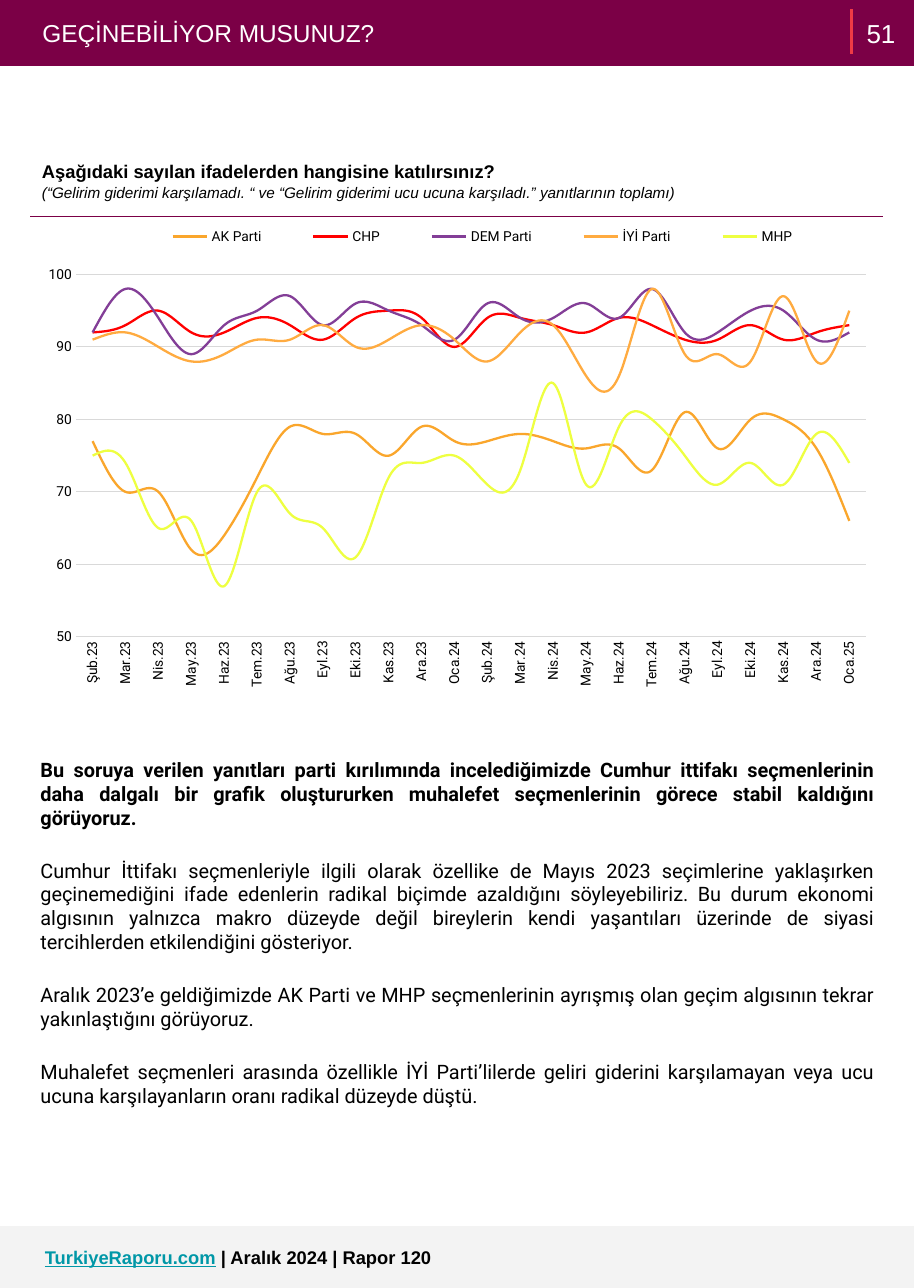
from lxml import etree
from pptx import Presentation, util
from pptx.chart.data import CategoryChartData
from pptx.dml.color import RGBColor
from pptx.enum import chart as chart_enum, shapes, text
from pptx.oxml import parse_xml
from pptx.oxml.ns import nsdecls, qn

Pt = util.Pt
COLORS = {
    "maroon": "7B0046", "red": "EF3B45", "footer": "F3F3F3", "link": "0097A7",
    "black": "000000", "white": "FFFFFF", "grid": "D9D9D9",
}


def style(font, size, color="black", name="Arial", bold=False):
    font.size, font.name, font.bold = Pt(size), name, bold
    font.color.rgb = RGBColor.from_string(COLORS[color])


def add_text(left, top, width, height):
    frame = slide.shapes.add_textbox(Pt(left), Pt(top), Pt(width), Pt(height)).text_frame
    frame.word_wrap = True
    frame.margin_left = frame.margin_right = Pt(7.2)
    frame.margin_top = frame.margin_bottom = Pt(7.2)
    return frame


presentation = Presentation()
presentation.slide_width, presentation.slide_height = Pt(597.6), Pt(842.4)
slide = presentation.slides.add_slide(presentation.slide_layouts[6])

# Header and footer bands
for top, height, color in [(0, 43.2, "maroon"), (802, 40.4, "footer")]:
    band = slide.shapes.add_shape(
        shapes.MSO_SHAPE.RECTANGLE, Pt(0), Pt(top), Pt(597.6), Pt(height))
    band.shadow.inherit = False
    band.fill.solid()
    band.fill.fore_color.rgb = RGBColor.from_string(COLORS[color])
    band.line.fill.background()

# Header title, divider and page number
paragraph = add_text(20.6, 4.3, 530, 34).paragraphs[0]
paragraph.text = "GEÇİNEBİLİYOR MUSUNUZ?"
style(paragraph.font, 16, "white")

divider = slide.shapes.add_connector(
    shapes.MSO_CONNECTOR.STRAIGHT, Pt(556.6), Pt(5.8), Pt(556.6), Pt(35.3))
divider.line.color.rgb = RGBColor.from_string(COLORS["red"])
divider.line.width = Pt(2.25)
etree.SubElement(divider._element.spPr, qn("a:effectLst"))

frame = add_text(556.6, -10.8, 38.9, 64.8)
frame.vertical_anchor = text.MSO_ANCHOR.MIDDLE
paragraph = frame.paragraphs[0]
paragraph.text = "51"
paragraph.alignment = text.PP_ALIGN.CENTER
style(paragraph.font, 17, "white")

# Footer line
paragraph = add_text(22.3, 807.8, 501, 29).paragraphs[0]
site = paragraph.add_run()
site.text = "TurkiyeRaporu.com"
style(site.font, 12, "link", bold=True)
site.font.underline = True
issue = paragraph.add_run()
issue.text = " | Aralık 2024 | Rapor 120"
style(issue.font, 12, bold=True)

# Question table
table = slide.shapes.add_table(1, 1, Pt(20.2), Pt(96.5), Pt(556.6), Pt(44.5)).table
table.first_row = table.horz_banding = False
cell = table.cell(0, 0)
cell.fill.background()
cell.margin_left = cell.margin_right = cell.margin_top = cell.margin_bottom = Pt(7.2)
cell.text = ("Aşağıdaki sayılan ifadelerden hangisine katılırsınız?\n"
             "(“Gelirim giderimi karşılamadı. “ ve “Gelirim giderimi ucu ucuna "
             "karşıladı.” yanıtlarının toplamı)")
question, note = cell.text_frame.paragraphs
question.line_spacing = note.line_spacing = 1.15
style(question.font, 12, bold=True)
style(note.font, 10)
note.font.italic = True
borders = [("L", "white"), ("R", "white"), ("T", "white"), ("B", "maroon")]
for index, (side, color) in enumerate(borders):
    cell._tc.tcPr.insert(index, parse_xml(
        f'<a:ln{side} {nsdecls("a")} w="{Pt(0.75)}"><a:solidFill>'
        f'<a:srgbClr val="{COLORS[color]}"/></a:solidFill></a:ln{side}>'))

# Line chart
months = ["Oca", "Şub", "Mar", "Nis", "May", "Haz",
          "Tem", "Ağu", "Eyl", "Eki", "Kas", "Ara"]
parties = [
    ("AK Parti", "FAA62C", [77, 70, 70, 62, 64, 72, 79, 78, 78, 75, 79, 77,
                            77, 78, 77, 76, 76, 73, 81, 76, 80, 80, 76, 66]),
    ("CHP", "FF0000", [92, 93, 95, 92, 92, 94, 93, 91, 94, 95, 94, 90,
                       94, 94, 93, 92, 94, 93, 91, 91, 93, 91, 92, 93]),
    ("DEM Parti", "833E97", [92, 98, 94, 89, 93, 95, 97, 93, 96, 95, 93, 91,
                             96, 94, 94, 96, 94, 98, 92, 92, 95, 95, 91, 92]),
    ("İYİ Parti", "FFAB40", [91, 92, 90, 88, 89, 91, 91, 93, 90, 91, 93, 91,
                             88, 92, 93, 86, 86, 98, 89, 89, 88, 97, 88, 95]),
    ("MHP", "EEFF41", [75, 74, 65, 66, 57, 70, 67, 65, 61, 72, 74, 75,
                       71, 73, 85, 71, 79, 80, 75, 71, 74, 71, 78, 74]),
]
data = CategoryChartData()
data.categories = [f"{months[i % 12]}.{23 + i // 12}" for i in range(1, 25)]
for name, color, values in parties:
    data.add_series(name, values)
chart = slide.shapes.add_chart(
    chart_enum.XL_CHART_TYPE.LINE, Pt(20.9), Pt(139), Pt(555.8), Pt(349.2), data).chart
chart.has_title = False
style(chart.font, 10, name="Roboto")
chart.plots[0].vary_by_categories = False
for series, (name, color, values) in zip(chart.plots[0].series, parties):
    series.smooth = True
    series.format.line.width = Pt(1.5)
    series.format.line.color.rgb = RGBColor.from_string(color)

# Chart axes
months_axis, percent_axis = chart.category_axis, chart.value_axis
for axis in (months_axis, percent_axis):
    axis.major_tick_mark = axis.minor_tick_mark = chart_enum.XL_TICK_MARK.NONE
    style(axis.tick_labels.font, 9, name="Roboto")
months_axis._element.txPr.find(qn("a:bodyPr")).set("rot", "-5400000")
percent_axis.minimum_scale, percent_axis.maximum_scale = 50, 100
percent_axis.major_unit = 10
percent_axis.has_major_gridlines = True
percent_axis.format.line.fill.background()
for line in (months_axis.format.line, percent_axis.major_gridlines.format.line):
    line.width = Pt(0.75)
    line.color.rgb = RGBColor.from_string(COLORS["grid"])

# Chart legend and placement of its parts
chart.has_legend = True
chart.legend.position = chart_enum.XL_LEGEND_POSITION.BOTTOM
chart.legend.include_in_layout = False
style(chart.legend.font, 9, name="Roboto")
plot_area = chart._chartSpace.chart.plotArea
for old in plot_area.findall(qn("c:layout")):
    plot_area.remove(old)
legend_element = chart.legend._element
for old in legend_element.findall(qn("c:layout")):
    legend_element.remove(old)
for parent, index, target, box in [
        (plot_area, 0, '<c:layoutTarget val="inner"/>', (0.052, 0.116, 0.929, 0.679)),
        (legend_element, 1, "", (0.11, 0.02, 0.84, 0.05))]:
    sizes = "".join(f'<c:{tag} val="{value}"/>' for tag, value in zip("xywh", box))
    parent.insert(index, parse_xml(
        f'<c:layout {nsdecls("c")}><c:manualLayout>{target}<c:xMode val="edge"/>'
        f'<c:yMode val="edge"/>{sizes}</c:manualLayout></c:layout>'))

# Commentary
comments = [
    "Bu soruya verilen yanıtları parti kırılımında incelediğimizde Cumhur ittifakı "
    "seçmenlerinin daha dalgalı bir grafik oluştururken muhalefet seçmenlerinin görece "
    "stabil kaldığını görüyoruz.",
    "Cumhur İttifakı seçmenleriyle ilgili olarak özellike de Mayıs 2023 seçimlerine "
    "yaklaşırken geçinemediğini ifade edenlerin radikal biçimde azaldığını "
    "söyleyebiliriz. Bu durum ekonomi algısının yalnızca makro düzeyde değil bireylerin "
    "kendi yaşantıları üzerinde de siyasi tercihlerden etkilendiğini gösteriyor.",
    "Aralık 2023’e geldiğimizde AK Parti ve MHP seçmenlerinin ayrışmış olan geçim "
    "algısının tekrar yakınlaştığını görüyoruz.",
    "Muhalefet seçmenleri arasında özellikle İYİ Parti’lilerde geliri giderini "
    "karşılamayan veya ucu ucuna karşılayanların oranı radikal düzeyde düştü.",
]
frame = add_text(19.4, 488.2, 558.7, 284.4)
frame.text = "\n".join(comments)
for index, paragraph in enumerate(frame.paragraphs):
    paragraph.alignment = text.PP_ALIGN.JUSTIFY
    style(paragraph.font, 13, name="Roboto", bold=index == 0)
    if index:
        paragraph.space_before = Pt(19)

presentation.save("out.pptx")
